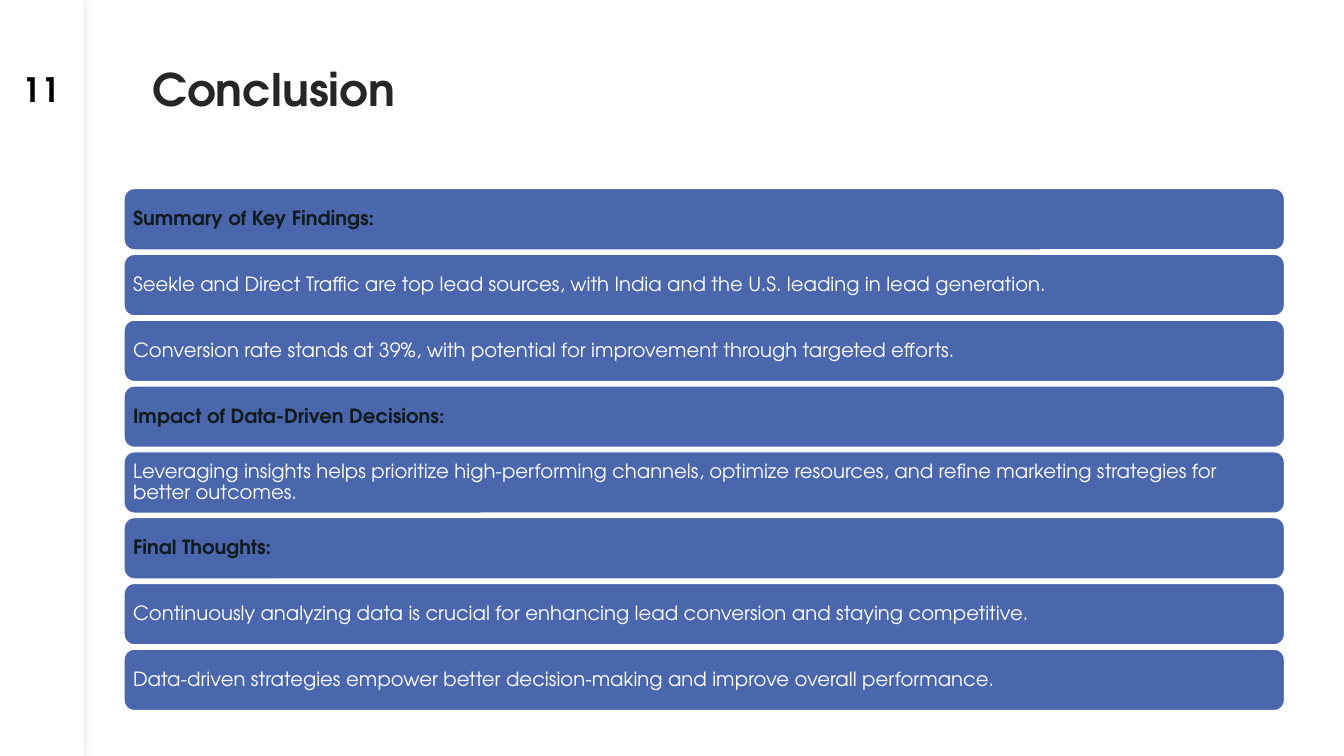
import pptx
import pptx.dml.color
import pptx.enum.shapes
import pptx.enum.text
import pptx.oxml
import pptx.oxml.ns
import pptx.util

PX = 9144
FONT = "TeX Gyre Adventor"
COLORS = {
    "white": "FFFFFF",
    "black": "000000",
    "title": "262626",
    "bar": "4A66AC",
    "heading": "111A1D",
}
FINDINGS = [
    ("Summary of Key Findings:", True),
    ("Seekle and Direct Traffic are top lead sources, with India and the U.S. "
     "leading in lead generation.", False),
    ("Conversion rate stands at 39%, with potential for improvement through "
     "targeted efforts.", False),
    ("Impact of Data-Driven Decisions:", True),
    ("Leveraging insights helps prioritize high-performing channels, optimize "
     "resources, and refine marketing strategies for better outcomes.", False),
    ("Final Thoughts:", True),
    ("Continuously analyzing data is crucial for enhancing lead conversion and "
     "staying competitive.", False),
    ("Data-driven strategies empower better decision-making and improve overall "
     "performance.", False),
]


def color(name):
    """Return the named colour."""
    return pptx.dml.color.RGBColor.from_string(COLORS[name])


def emu(*lengths):
    """Turn px lengths into EMU."""
    return [round(length * PX) for length in lengths]


def write(frame, text, size, tint, bold, align="LEFT", anchor="MIDDLE", spacing=1.0):
    """Write one formatted paragraph into a text frame."""
    frame.word_wrap = True
    frame.auto_size = pptx.enum.text.MSO_AUTO_SIZE.NONE
    frame.vertical_anchor = pptx.enum.text.MSO_ANCHOR[anchor]
    para = frame.paragraphs[0]
    para.alignment = pptx.enum.text.PP_ALIGN[align]
    para.line_spacing = spacing
    span = para.add_run()
    span.text = text
    span.font.name = FONT
    span.font.size = pptx.util.Pt(size)
    span.font.bold = bold
    span.font.color.rgb = color(tint)
    return para


def add_side_band(page, left, top, width, height):
    """Add the white side band with its soft shadow and the page number."""
    band = page.shapes.add_shape(
        pptx.enum.shapes.MSO_SHAPE.RECTANGLE, *emu(left, top, width, height))
    band.fill.solid()
    band.fill.fore_color.rgb = color("white")
    band.line.fill.background()
    blur = pptx.util.Pt(10)
    band.element.spPr.append(pptx.oxml.parse_xml(
        f'<a:effectLst {pptx.oxml.ns.nsdecls("a")}>'
        f'<a:outerShdw blurRad="{blur}" dist="0" dir="0" algn="ctr" rotWithShape="0">'
        f'<a:srgbClr val="{COLORS["black"]}"><a:alpha val="10000"/></a:srgbClr>'
        '</a:outerShdw></a:effectLst>'))
    number = page.shapes.add_textbox(*emu(left, top + 67, width, 42))
    para = write(number.text_frame, "11", 24, "black", True, align="CENTER")
    para.space_after = pptx.util.Pt(6)


def add_title(page, left, top, width, height):
    """Place and fill the title placeholder."""
    title = page.shapes.title
    title.left, title.top, title.width, title.height = emu(left, top, width, height)
    write(title.text_frame, "Conclusion", 32, "title", True, anchor="TOP", spacing=0.8)


def add_findings(page, left, top, width, height):
    """Stack the findings as equal rounded bars filling the box."""
    bar_height = 61
    pitch = (height - bar_height) / (len(FINDINGS) - 1)
    for index, (text, is_heading) in enumerate(FINDINGS):
        bar = page.shapes.add_shape(
            pptx.enum.shapes.MSO_SHAPE.ROUNDED_RECTANGLE,
            *emu(left, top + index * pitch, width, bar_height))
        bar.shadow.inherit = False
        bar.fill.solid()
        bar.fill.fore_color.rgb = color("bar")
        bar.line.color.rgb = color("white")
        bar.line.width = pptx.util.Pt(1)
        frame = bar.text_frame
        frame.margin_left, frame.margin_top, frame.margin_right, frame.margin_bottom = emu(
            6, 6, 6, 6)
        write(frame, text, 14, "heading" if is_heading else "white", is_heading, spacing=0.9)


def main():
    """Build and save the conclusion slide."""
    deck = pptx.Presentation()
    deck.slide_width, deck.slide_height = emu(1333, 750)
    page = deck.slides.add_slide(deck.slide_layouts.get_by_name("Title Only"))
    add_side_band(page, 0, 0, 83, 750)
    add_title(page, 141, 67, 538, 158)
    add_findings(page, 123, 187, 1151, 518)
    deck.save("out.pptx")


if __name__ == "__main__":
    main()
